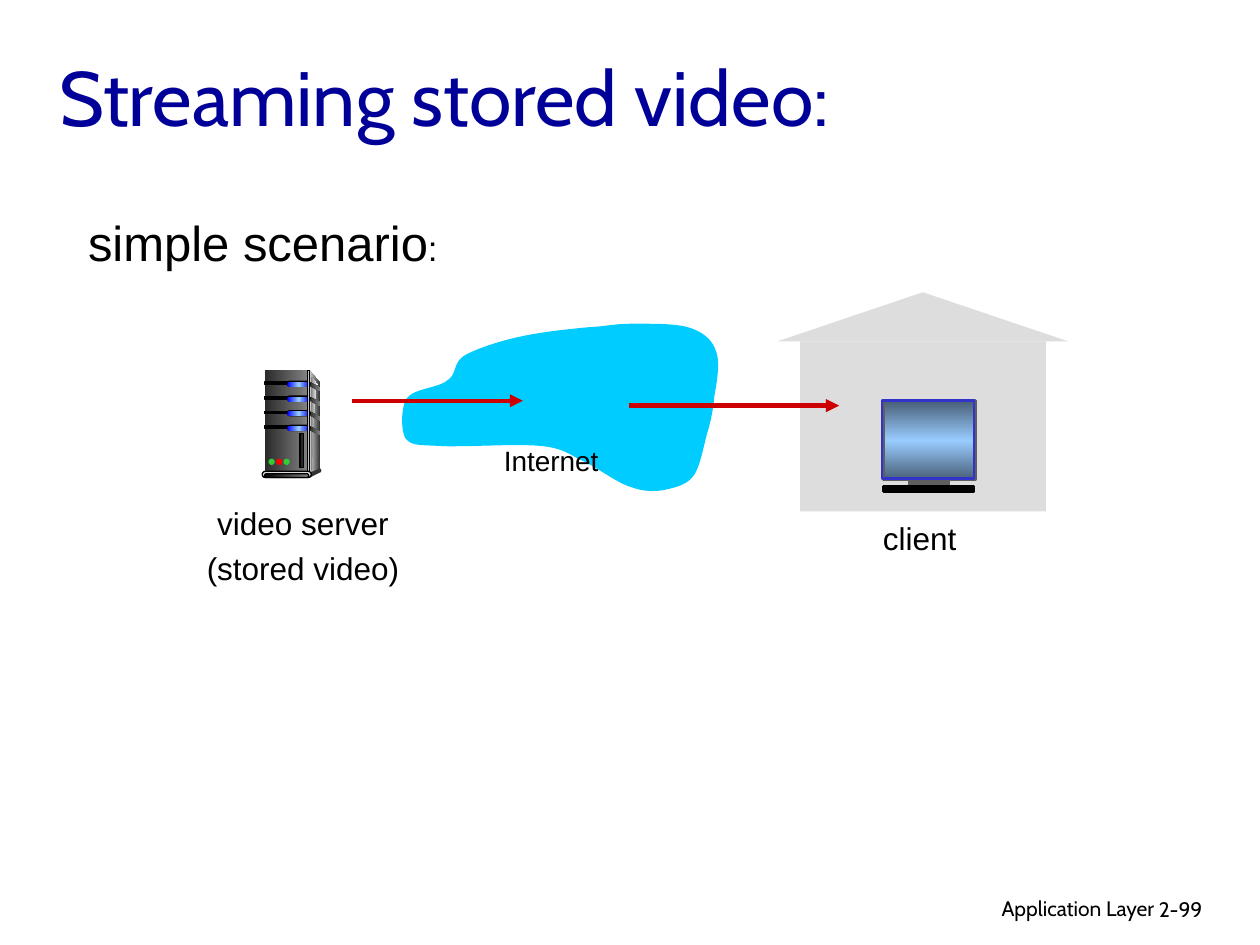
from copy import deepcopy

from lxml import etree
from pptx import Presentation
from pptx import util as u
from pptx.dml.color import RGBColor
from pptx.enum import shapes, text
from pptx.oxml.ns import qn

COLORS = {
    "title": "000099", "black": "000000", "house": "DDDDDD", "cloud": "00CCFF",
    "arrow": "CC0000", "dark": "292929", "grey": "808080", "edge": "333333",
    "shine": "F8F8F8", "blue": "0000FF", "sky": "99CCFF", "steel": "475E76",
    "stand": "5F5F5F", "frame": "3333CC", "green": "33CC33", "red": "FF0000",
}
SHAPE = shapes.MSO_SHAPE
ALIGN = text.PP_ALIGN
CLOUD_START = (343.4, 186.5)
CLOUD_CURVES = [
    (331.9, 187.2, 311, 189.4, 298.1, 192.2),
    (284.4, 195.1, 272.2, 199.4, 265.7, 203),
    (258.5, 207.4, 261.4, 213.8, 255.6, 217.4),
    (250.6, 221.8, 236.9, 221.8, 232.6, 227.5),
    (229, 232.6, 229, 246.2, 231.8, 250.6),
    (235.4, 254.9, 239.8, 254.2, 252, 254.9),
    (265, 255.6, 295.9, 253.4, 309.6, 254.9),
    (323.3, 256.3, 326.2, 260.6, 334.8, 264.2),
    (343.4, 268.6, 353.5, 276.5, 361.4, 278.6),
    (369.4, 281.5, 376.6, 280.8, 382.3, 279.4),
    (388.1, 277.9, 393.1, 276.5, 396.7, 271.4),
    (400.3, 265.7, 401.8, 256.3, 403.9, 248.4),
    (406.1, 241.2, 407.5, 234.7, 408.2, 226.8),
    (409.7, 218.2, 411.8, 206.6, 409, 200.2),
    (406.8, 193.7, 401, 189.4, 393.8, 187.2),
    (386.6, 185, 374.4, 185, 365.8, 185),
    (357.1, 185, 354.2, 185, 343.4, 186.5),
]


def rgb(name):
    return RGBColor.from_string(COLORS[name])


def pts(*values):
    return [u.Pt(v) for v in values]


def trace(start, curves, steps=12):
    points = [start]
    for x1, y1, x2, y2, x3, y3 in curves:
        x0, y0 = points[-1]
        for i in range(1, steps + 1):
            t = i / steps
            a, b, c, d = (1 - t) ** 3, 3 * t * (1 - t) ** 2, 3 * t * t * (1 - t), t ** 3
            points.append((a * x0 + b * x1 + c * x2 + d * x3,
                           a * y0 + b * y1 + c * y2 + d * y3))
    return points


class Deck:
    def __init__(self):
        self.prs = Presentation()
        self.prs.slide_width, self.prs.slide_height = pts(720, 540)
        self.s = self.prs.slides.add_slide(self.prs.slide_layouts[5])

    def paint(self, sp, fill=None, line=None, angle=0):
        sp.shadow.inherit = False
        if isinstance(fill, tuple):
            self.gradient(sp, fill, angle)
        elif fill:
            sp.fill.solid()
            sp.fill.fore_color.rgb = rgb(fill)
        else:
            sp.fill.background()
        if line:
            sp.line.color.rgb = rgb(line[0])
            sp.line.width = u.Pt(line[1])
        else:
            sp.line.fill.background()
        return sp

    def gradient(self, sp, names, angle):
        sp.fill.gradient()
        sp.fill.gradient_angle = angle
        stops = sp._element.spPr.find(".//" + qn("a:gsLst"))
        while len(stops) < len(names):
            stops.append(deepcopy(stops[0]))
        for i, (stop, name) in enumerate(zip(sp.fill.gradient_stops, names)):
            stop.color.rgb = rgb(name)
            stop.position = i / (len(names) - 1)

    def shape(self, kind, box, fill=None, line=None, angle=0):
        sp = self.s.shapes.add_shape(kind, *pts(*box))
        if kind == SHAPE.ROUNDED_RECTANGLE:
            sp.adjustments[0] = 0.5
        return self.paint(sp, fill, line, angle)

    def outline(self, points, fill):
        first, *rest = [tuple(pts(*p)) for p in points]
        fb = self.s.shapes.build_freeform(*first, scale=1.0)
        fb.add_line_segments(rest, close=True)
        return self.paint(fb.convert_to_shape(), fill)

    def arrow(self, x1, x2, y):
        cn = self.s.shapes.add_connector(shapes.MSO_CONNECTOR.STRAIGHT, *pts(x1, y, x2, y))
        cn.line.color.rgb = rgb("arrow")
        cn.line.width = u.Pt(2.5)
        ln = cn._element.spPr.find(qn("a:ln"))
        etree.SubElement(ln, qn("a:tailEnd"), type="triangle")
        etree.SubElement(cn._element.spPr, qn("a:effectLst"))

    def fill_text(self, tf, paragraphs, font, size, color="black", align=ALIGN.LEFT):
        for i, runs in enumerate(paragraphs):
            p = tf.add_paragraph() if i else tf.paragraphs[0]
            p.alignment = align
            if i:
                p.space_before = u.Pt(4.3)
            for content, run_size in runs:
                r = p.add_run()
                r.text = content
                r.font.color.rgb = rgb(color)
                for key, value in {"name": font, "size": u.Pt(run_size or size)}.items():
                    setattr(r.font, key, value)

    def title(self, box, content):
        sp = self.s.shapes.title
        sp.left, sp.top, sp.width, sp.height = pts(*box)
        frame = {"vertical_anchor": text.MSO_ANCHOR.MIDDLE, "word_wrap": True,
                 "auto_size": text.MSO_AUTO_SIZE.NONE}
        for key, value in frame.items():
            setattr(sp.text_frame, key, value)
        self.fill_text(sp.text_frame, [[(content, None)]], "Cabin", 44, "title")

    def label(self, box, paragraphs, size, font="Arial", align=ALIGN.LEFT, wrap=False):
        tf = self.s.shapes.add_textbox(*pts(*box)).text_frame
        tf.word_wrap = wrap
        self.fill_text(tf, paragraphs, font, size, align=align)

    def server(self):
        rect, pill, dot = SHAPE.RECTANGLE, SHAPE.ROUNDED_RECTANGLE, SHAPE.OVAL
        thin = ("black", 0.75)
        metal = ("dark", "grey")
        self.outline([(177.1, 211.7), (182.9, 218.9), (182.9, 267.8), (176.4, 270.7)],
                     ("house", "edge"))
        self.shape(rect, (151.2, 211.7, 24.5, 59), metal)
        self.outline(trace((177.8, 215.3), [(177.8, 215.3, 178.6, 216, 181.4, 219.6),
                                            (177.8, 241.9, 178.6, 270, 177.8, 269.3)]),
                     ("grey", "shine"))
        for i in range(4):
            y = 218.2 + 8.4 * i
            self.outline([(176.8, y), (182.9, y + 3.2), (182.9, y + 5.4), (176.8, y + 2.2)],
                         metal)
            self.shape(rect, (151.2, y, 13.7, 1.4), "black", thin)
            self.shape(pill, (163.8, y - 0.7, 13.7, 3.6), "black")
            self.shape(pill, (164.2, y, 13, 2.9), ("blue", "sky", "blue"))
        self.shape(rect, (175.7, 211.7, 1.4, 59), ("edge", "house", "edge"), thin)
        self.shape(dot, (182.2, 267.8, 1.4, 2.2), "edge")
        self.outline([(177.1, 270), (177.1, 272.9), (182.9, 270), (182.9, 267.8)], "edge")
        self.shape(pill, (149.8, 269.3, 28.1, 3.6), "house", thin)
        self.shape(pill, (151.2, 270.7, 25.2, 2.2), ("black", "grey"), thin)
        for i, light in enumerate(("green", "red", "green")):
            self.shape(dot, (153.4 + 4.3 * i, 262.1, 3.6, 3.6), light)
        self.shape(rect, (171.4, 247.7, 2.2, 19.4), "dark", thin)

    def house(self):
        self.shape(SHAPE.ISOSCELES_TRIANGLE, (444.2, 167, 166.3, 28.1), "house")
        self.shape(SHAPE.RECTANGLE, (457.2, 195.1, 140.4, 97.2), "house")

    def monitor(self):
        rect = SHAPE.RECTANGLE
        self.shape(rect, (504.7, 229, 52.6, 45.4), ("steel", "sky", "steel"),
                   ("stand", 1.5), 90)
        self.shape(rect, (519.8, 274.3, 22.3, 2.9), "stand", ("stand", 1.5))
        self.shape(rect, (504.7, 277.9, 51.8, 2.9), "black", ("black", 1.5))
        self.shape(rect, (504, 229, 52.6, 44.6), None, ("frame", 1.5))


def main():
    d = Deck()
    d.title((26.6, 9.4, 612, 90), "Streaming stored video:")
    d.house()
    d.server()
    d.monitor()
    d.label((43.2, 118.1, 216.7, 41), [[("simple scenario", None), (":", 20)]], 28)
    d.outline(trace(CLOUD_START, CLOUD_CURVES), "cloud")
    d.arrow(200.9, 298.8, 229)
    d.arrow(359.3, 479.5, 231.8)
    d.label((108, 284.4, 130.3, 55.4), [[("video server", None)], [("(stored video)", None)]],
            18, align=ALIGN.CENTER)
    d.label((497.5, 293, 60.5, 28.8), [[("client", None)]], 18)
    d.label((280.8, 249.8, 72.7, 26.6), [[("Internet", None)]], 16)
    d.label((545, 508.3, 121.7, 23.8), [[("Application Layer", None)]], 12, "Cabin",
            ALIGN.RIGHT, True)
    d.label((655.2, 509, 53.3, 21.6), [[("2-99", None)]], 12, "Cabin", wrap=True)
    d.prs.save("out.pptx")


if __name__ == "__main__":
    main()
